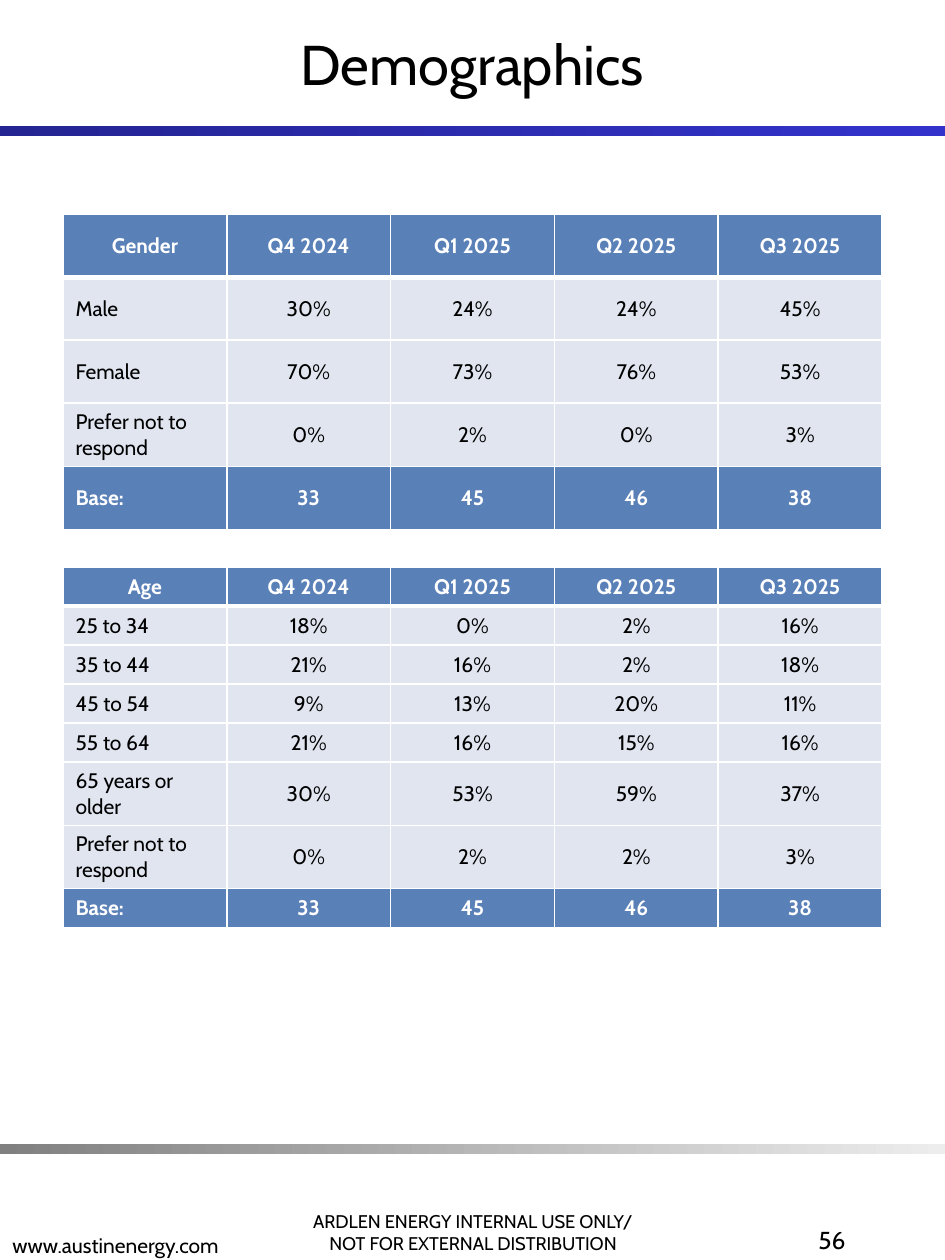
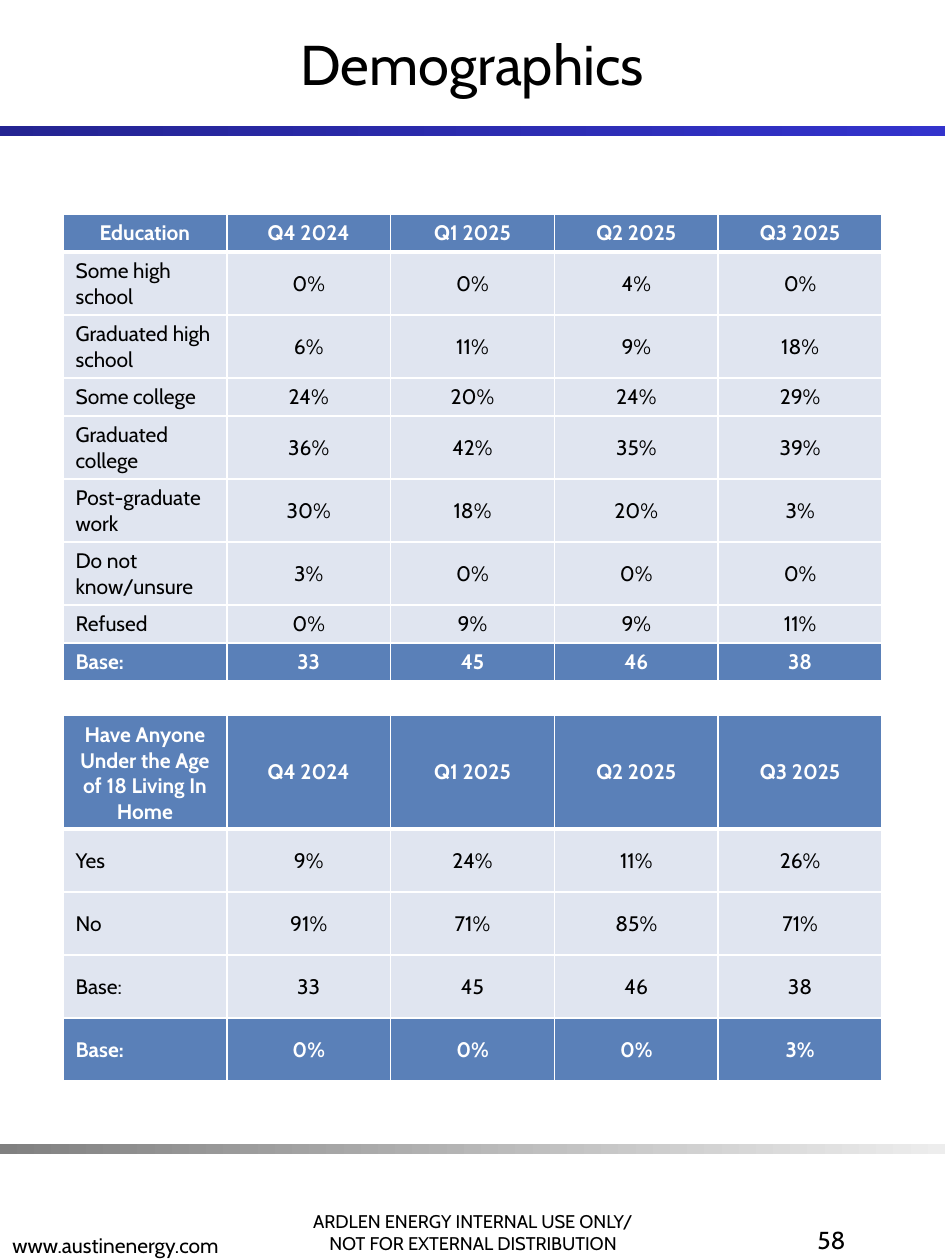
from lxml import etree
from pptx import Presentation
from pptx.dml.color import RGBColor
from pptx.enum.shapes import MSO_SHAPE
from pptx.enum.text import MSO_ANCHOR, MSO_AUTO_SIZE, PP_ALIGN
from pptx.oxml.ns import qn
from pptx.util import Inches, Pt

RECT = MSO_SHAPE.RECTANGLE
TOP, MIDDLE, BOTTOM = MSO_ANCHOR.TOP, MSO_ANCHOR.MIDDLE, MSO_ANCHOR.BOTTOM
LEFT, CENTER, RIGHT = PP_ALIGN.LEFT, PP_ALIGN.CENTER, PP_ALIGN.RIGHT
NO_FIT = MSO_AUTO_SIZE.NONE

FONT = "Cabin"
BLACK, WHITE, BLUE, PALE = "000000", "FFFFFF", "5A80B8", "E0E5F0"
BANDS = [(1, "242492", "3333CC"), (9.08, "808080", "EDEDED")]
FOOTERS = [
    (2.16, 9.33, "ARDLEN ENERGY INTERNAL USE ONLY/\nNOT FOR EXTERNAL DISTRIBUTION", 10.5, CENTER),
    (0, 9.36, "www.austinenergy.com", 12, LEFT),
]
QUARTERS = ["Q4 2024", "Q1 2025", "Q2 2025", "Q3 2025"]
BASE = ["Base:", "33", "45", "46", "38"]

SLIDES = [
    ("56", [
        (1.7, 2.5, 0.5, [
            ["Gender", *QUARTERS],
            ["Male", "30%", "24%", "24%", "45%"],
            ["Female", "70%", "73%", "76%", "53%"],
            ["Prefer not to respond", "0%", "2%", "0%", "3%"],
            BASE,
        ]),
        (4.5, 2.88, 0.31, [
            ["Age", *QUARTERS],
            ["25 to 34", "18%", "0%", "2%", "16%"],
            ["35 to 44", "21%", "16%", "2%", "18%"],
            ["45 to 54", "9%", "13%", "20%", "11%"],
            ["55 to 64", "21%", "16%", "15%", "16%"],
            ["65 years or older", "30%", "53%", "59%", "37%"],
            ["Prefer not to respond", "0%", "2%", "2%", "3%"],
            BASE,
        ]),
    ]),
    ("58", [
        (1.7, 3.7, 0.28, [
            ["Education", *QUARTERS],
            ["Some high school", "0%", "0%", "4%", "0%"],
            ["Graduated high school", "6%", "11%", "9%", "18%"],
            ["Some college", "24%", "20%", "24%", "29%"],
            ["Graduated college", "36%", "42%", "35%", "39%"],
            ["Post-graduate work", "30%", "18%", "20%", "3%"],
            ["Do not know/unsure", "3%", "0%", "0%", "0%"],
            ["Refused", "0%", "9%", "9%", "11%"],
            BASE,
        ]),
        (5.68, 3.1, 0.5, [
            ["Have Anyone Under the Age of 18 Living In Home", *QUARTERS],
            ["Yes", "9%", "24%", "11%", "26%"],
            ["No", "91%", "71%", "85%", "71%"],
            BASE,
            ["Base:", "0%", "0%", "0%", "3%"],
        ]),
    ]),
]


def rgb(value):
    return RGBColor.from_string(value)


def write(tf, text, size=12, color=BLACK, bold=False, align=LEFT):
    tf.text = text
    for p in tf.paragraphs:
        p.alignment = align
        for r in p.runs:
            r.font.name = FONT
            r.font.size = Pt(size)
            r.font.bold = bold
            r.font.color.rgb = rgb(color)


prs = Presentation()
prs.slide_width, prs.slide_height = Inches(7.5), Inches(10)

for number, tables in SLIDES:
    s = prs.slides.add_slide(prs.slide_layouts[5])

    for top, start, end in BANDS:
        sp = s.shapes.add_shape(RECT, 0, Inches(top), prs.slide_width, Inches(0.08))
        sp.shadow.inherit = False
        sp.line.fill.background()
        sp.fill.gradient()
        sp.fill.gradient_angle = 0
        for stop, color in zip(sp.fill.gradient_stops, (start, end)):
            stop.color.rgb = rgb(color)

    title = s.shapes.title
    title.left, title.top, title.width, title.height = 0, 0, prs.slide_width, Inches(1)
    write(title.text_frame, "Demographics", size=32, align=CENTER)
    title.text_frame.vertical_anchor = MIDDLE
    title.text_frame.auto_size = NO_FIT

    for left, top, text, size, align in FOOTERS:
        tf = s.shapes.add_textbox(Inches(left), Inches(top), Inches(3.19), Inches(0.67)).text_frame
        tf.word_wrap = True
        tf.vertical_anchor = BOTTOM
        write(tf, text, size=size, align=align)

    tf = s.shapes.add_textbox(Inches(5.25), Inches(9.67), Inches(1.56), Inches(0.67)).text_frame
    tf.word_wrap = True
    tf.vertical_anchor = TOP
    write(tf, number, size=14, align=RIGHT)

    for top, height, row_height, rows in tables:
        frame = s.shapes.add_table(len(rows), 5, Inches(0.5), Inches(top), Inches(6.5), Inches(height))
        table = frame.table
        table.horz_banding = False
        for i, row in enumerate(rows):
            table.rows[i].height = Inches(row_height)
            header = i == 0
            strong = header or i == len(rows) - 1
            for j, text in enumerate(row):
                cell = table.cell(i, j)
                cell.vertical_anchor = MIDDLE
                write(cell.text_frame, text, color=WHITE if strong else BLACK, bold=strong,
                      align=CENTER if header or j else LEFT)
                if header:
                    for side, points in (("L", 1), ("R", 1), ("T", 1), ("B", 3)):
                        ln = etree.SubElement(cell._tc.get_or_add_tcPr(), qn(f"a:ln{side}"), w=str(Pt(points)))
                        fill = etree.SubElement(ln, qn("a:solidFill"))
                        etree.SubElement(fill, qn("a:srgbClr"), val=WHITE)
                cell.fill.solid()
                cell.fill.fore_color.rgb = rgb(BLUE if strong else PALE)
        frame.height = Inches(height)

prs.save("out.pptx")
